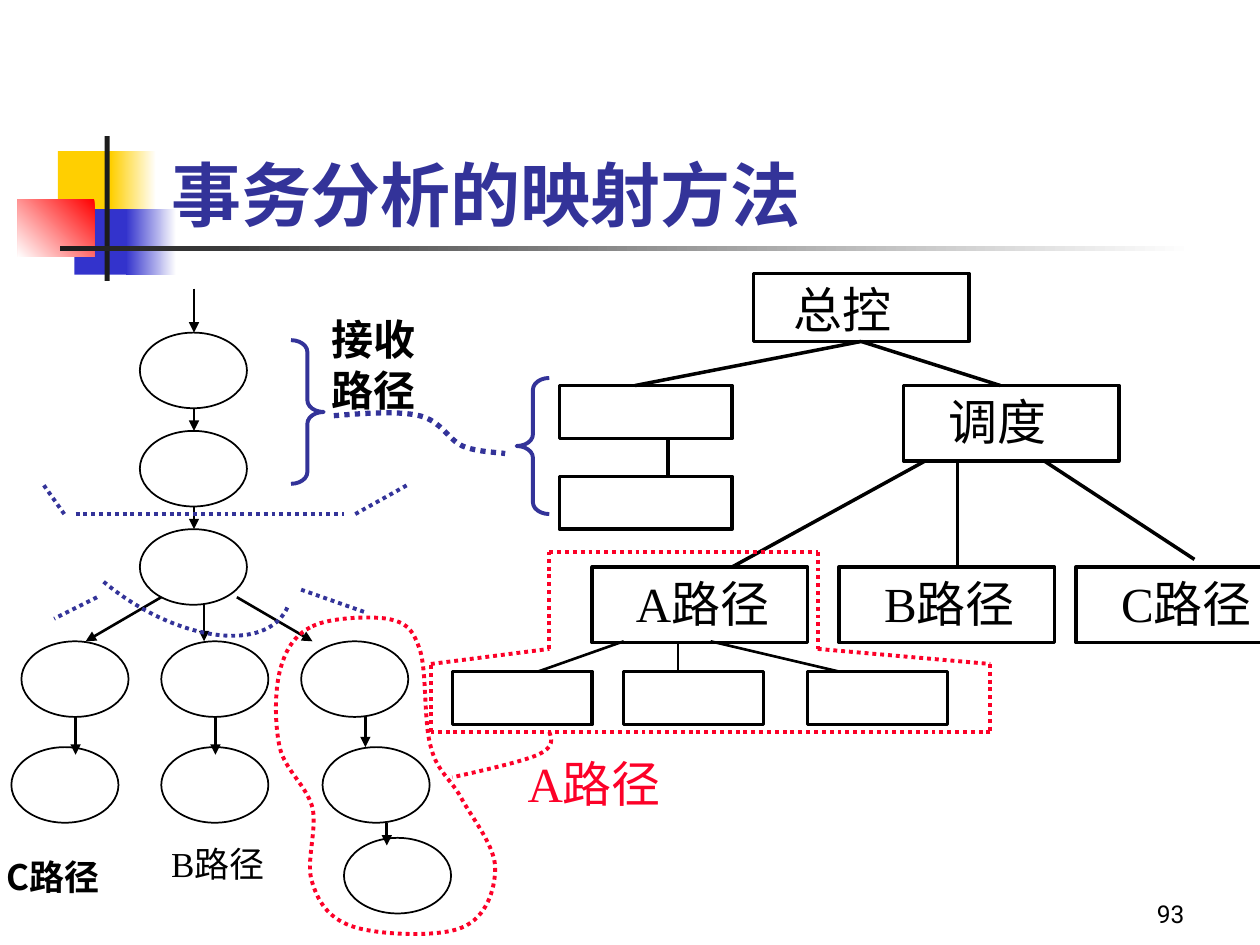
from dataclasses import dataclass

from lxml import etree
from pptx import Presentation
from pptx.dml.color import RGBColor
from pptx.enum.dml import MSO_LINE
from pptx.enum.shapes import MSO_CONNECTOR, MSO_SHAPE
from pptx.enum.text import MSO_ANCHOR, MSO_AUTO_SIZE, PP_ALIGN
from pptx.oxml.ns import qn
from pptx.util import Inches, Pt

BLACK = RGBColor(0x00, 0x00, 0x00)
WHITE = RGBColor(0xFF, 0xFF, 0xFF)
NAVY = RGBColor(0x33, 0x33, 0x99)
RED = RGBColor(0xFC, 0x01, 0x28)
GOLD = RGBColor(0xFF, 0xCF, 0x01)
BLUE = RGBColor(0x33, 0x33, 0xCC)
BRIGHT_RED = RGBColor(0xFF, 0x00, 0x00)
CHARCOAL = RGBColor(0x1C, 0x1C, 0x1C)
SERIF = "Times New Roman"
CJK = "Noto Sans CJK SC"
OVAL_SIZE = (0.85, 0.6)
BOX_SIZE = (1.71, 0.6)


@dataclass
class Region:
    """An area of the page; all positions are inches from its corner."""
    page: object
    left: float
    top: float

    def point(self, x, y):
        return Inches(self.left + x), Inches(self.top + y)

    def shape(self, kind, x, y, width, height, fill=None, line=None, weight=2, dotted=False):
        shape = self.page.shapes.add_shape(
            kind, *self.point(x, y), Inches(width), Inches(height))
        return self.finish(shape, fill, line, weight, dotted)

    def finish(self, shape, fill, line, weight, dotted=False):
        shape.shadow.inherit = False
        if fill is None:
            shape.fill.background()
        else:
            shape.fill.solid()
            shape.fill.fore_color.rgb = fill
        if line is None:
            shape.line.fill.background()
        else:
            style_line(shape.line, line, weight, dotted)
        return shape

    def gradient(self, x, y, width, height, first, last, clockwise=180):
        shape = self.shape(MSO_SHAPE.RECTANGLE, x, y, width, height)
        shape.fill.gradient()
        shape.fill.gradient_angle = 360 - clockwise
        for stop, color, position in zip(shape.fill.gradient_stops, (first, last), (0, 1)):
            stop.color.rgb = color
            stop.position = position

    def line(self, start, end, color=BLACK, weight=2, dotted=False, arrow=False):
        connector = self.page.shapes.add_connector(
            MSO_CONNECTOR.STRAIGHT, *self.point(*start), *self.point(*end))
        style_line(connector.line, color, weight, dotted)
        if arrow:
            outline = connector.line._get_or_add_ln()
            etree.SubElement(outline, qn("a:tailEnd"), type="triangle")
        etree.SubElement(connector._element.spPr, qn("a:effectLst"))
        return connector

    def curve(self, points, color, weight=2.25):
        """Dotted curve: a start, then control, control, end for each segment."""
        start, *rest = [self.point(*p) for p in points]
        builder = self.page.shapes.build_freeform(*start)
        builder.add_line_segments(rest, close=points[0] == points[-1])
        shape = self.finish(builder.convert_to_shape(), None, color, weight, dotted=True)
        # Merge each three straight steps into one cubic segment
        steps = list(shape._element.iter(qn("a:lnTo")))
        for index in range(0, len(rest), 3):
            first, *others = steps[index:index + 3]
            first.tag = qn("a:cubicBezTo")
            for other in others:
                first.append(other[0])
                other.getparent().remove(other)

    def label(self, text, x, y, width, height, size, color=BLACK, font=SERIF,
              bold=False, align=PP_ALIGN.LEFT, anchor=MSO_ANCHOR.TOP, wrap=False):
        box = self.page.shapes.add_textbox(*self.point(x, y), Inches(width), Inches(height))
        frame = box.text_frame
        frame.text = text
        frame.word_wrap = wrap
        frame.vertical_anchor = anchor
        frame.auto_size = MSO_AUTO_SIZE.NONE if wrap else MSO_AUTO_SIZE.SHAPE_TO_FIT_TEXT
        for para in frame.paragraphs:
            para.alignment = align
            for span in para.runs:
                span.font.name, span.font.size, span.font.bold = font, Pt(size), bold
                span.font.color.rgb = color
                etree.SubElement(span._r.get_or_add_rPr(), qn("a:ea"), typeface=CJK)


def style_line(line, color, weight, dotted):
    line.color.rgb = color
    line.width = Pt(weight)
    if dotted:
        line.dash_style = MSO_LINE.ROUND_DOT


def draw_header(region):
    # Coloured squares, crossing bars and the title
    square = MSO_SHAPE.RECTANGLE
    region.shape(square, 0.46, 0.2, 0.48, 0.52, GOLD)
    region.gradient(0.88, 0.2, 0.36, 0.52, WHITE, GOLD)
    region.shape(square, 0.59, 0.66, 0.46, 0.52, BLUE)
    region.gradient(1, 0.66, 0.4, 0.52, WHITE, BLUE)
    region.gradient(0.14, 0.58, 0.61, 0.46, BRIGHT_RED, WHITE, 135)
    region.shape(square, 0.83, 0.08, 0.04, 1.15, CHARCOAL)
    region.gradient(0.48, 0.95, 9, 0.04, WHITE, CHARCOAL)
    region.label("事务分析的映射方法", 1.26, -0.33, 8.52, 1.25, 40, NAVY, CJK, True,
                 anchor=MSO_ANCHOR.BOTTOM, wrap=True)


def draw_structure(region):
    # Control levels
    def module(x, y, width=BOX_SIZE[0], height=BOX_SIZE[1]):
        return region.shape(MSO_SHAPE.RECTANGLE, x, y, width, height, WHITE, BLACK)

    control = module(2.98, 0.17, height=0.54)
    region.label("总控", 3.2, 0.17, 1, 0.56, 28)
    module(4.17, 1.06)
    region.label("调度", 4.43, 1.06, 1, 0.56, 28)
    for y in (1.06, 1.78):
        module(1.44, y, 1.37, 0.42)
    for end in ((4.94, 1.06), (2.04, 1.06)):
        region.line((3.83, 0.71), end).begin_connect(control, 2)
    region.line((2.3, 1.48), (2.3, 1.78))

    # Dispatched paths
    for start, end in (((5.29, 1.66), (6.48, 2.44)), ((4.6, 1.66), (4.6, 2.5)),
                       ((4.34, 1.66), (2.81, 2.5))):
        region.line(start, end)
    for name, x in (("A", 1.7), ("B", 3.66), ("C", 5.54)):
        module(x, 2.5)
        region.label(name + "路径", x + 0.18, 2.5, 1.39, 0.56, 28, align=PP_ALIGN.CENTER)

    # Modules below path A
    for x, start, end in ((0.59, 1.95, 1.27), (1.95, 2.38, 2.38), (3.41, 2.64, 3.66)):
        module(x, 3.33, 1.11, 0.42)
        region.line((start, 3.09), (end, 3.33), weight=1.5)


def draw_flow(region):
    # Processes
    ovals = [(1.11, 0.64), (1.11, 1.42), (1.11, 2.2),
             (0.17, 3.09), (1.28, 3.09), (2.39, 3.09),
             (0.09, 3.93), (1.28, 3.93), (2.56, 3.93), (2.73, 4.65)]
    for x, y in ovals:
        region.shape(MSO_SHAPE.OVAL, x, y, *OVAL_SIZE, line=BLACK, weight=1)

    # Data flows: downward arrows, then the two slanted ones
    for x, top, bottom in ((1.54, 0.29, 0.64), (1.54, 1.24, 1.42), (1.54, 2.02, 2.2),
                           (1.62, 2.8, 3.09), (1.71, 3.69, 3.99), (0.6, 3.69, 3.99),
                           (2.9, 3.69, 3.93), (3.07, 4.53, 4.71)):
        region.line((x, top), (x, bottom), weight=1.5, arrow=True)
    for start, end in ((1.88, 2.48), (1.28, 0.68)):
        region.line((start, 2.74), (end, 3.09), weight=1.5, arrow=True)

    # Dotted boundaries around the transaction centre
    for start, end in (((0.6, 2.08), (2.73, 2.08)), ((2.82, 2.08), (3.25, 1.84)),
                       ((0.51, 2.08), (0.34, 1.84)), ((2.39, 2.68), (2.9, 2.86)),
                       ((0.77, 2.74), (0.43, 2.91))):
        region.line(start, end, NAVY, 2.25, dotted=True)
    arc = region.shape(MSO_SHAPE.ARC, 0.22, 1.66, 2.22, 1.19, None, NAVY, 2.25, dotted=True)
    arc.rotation = 33.8
    for index, degrees in enumerate((357, 113)):
        arc.adjustments[index] = degrees * 0.6

    # Path names
    region.label("B路径", 1.26, 4.64, 1.04, 0.44, 20)
    region.label("C路径", -0.05, 4.74, 1.04, 0.44, 20, font=CJK, bold=True)


def draw_receiving_path(region):
    # Braces and the dotted link between them
    for kind, x, y, height in ((MSO_SHAPE.RIGHT_BRACE, 0.31, 0.7, 1.14),
                               (MSO_SHAPE.LEFT_BRACE, 2.1, 1, 1.08)):
        brace = region.shape(kind, x, y, 0.26, height, line=NAVY, weight=2.25)
        brace.adjustments[0] = 0.36
    region.curve([(0.65, 1.3), (0.9, 1.28), (1.16, 1.26), (1.33, 1.3),
                  (1.5, 1.34), (1.56, 1.49), (1.67, 1.54),
                  (1.79, 1.59), (1.96, 1.59), (2.01, 1.6)], NAVY, 3)
    region.label("接收\n路径", 0.53, 0.44, 0.9, 0.9, 24, bold=True)


def draw_path_a(region):
    # Name on its white ground
    region.shape(MSO_SHAPE.RECTANGLE, 1.84, 1.93, *BOX_SIZE, WHITE)
    region.label("A路径", 2.02, 1.93, 1.39, 0.56, 28, RED, align=PP_ALIGN.CENTER)

    # Outline around the processes of path A
    region.curve([
        (0.48, 0.97), (0.62, 0.9), (0.93, 0.89), (1.07, 0.91),
        (1.22, 0.94), (1.27, 0.98), (1.33, 1.15),
        (1.39, 1.32), (1.36, 1.73), (1.42, 1.93),
        (1.47, 2.13), (1.59, 2.19), (1.67, 2.35),
        (1.76, 2.51), (1.93, 2.72), (1.93, 2.89),
        (1.93, 3.06), (1.86, 3.28), (1.67, 3.36),
        (1.49, 3.44), (1.02, 3.42), (0.82, 3.36),
        (0.62, 3.3), (0.53, 3.17), (0.48, 3.01),
        (0.42, 2.85), (0.52, 2.59), (0.48, 2.41),
        (0.43, 2.23), (0.26, 2.11), (0.22, 1.93),
        (0.18, 1.75), (0.18, 1.49), (0.22, 1.33),
        (0.26, 1.17), (0.33, 1.04), (0.48, 0.97)], RED)

    # Outline around its modules, and the link to it
    corners = [(2.36, 0.38), (4.49, 0.38), (4.49, 1.15), (5.86, 1.27),
               (5.86, 1.81), (1.42, 1.81), (1.42, 1.27), (2.36, 1.15)]
    for start, end in zip(corners, corners[1:] + corners[:1]):
        region.line(start, end, RED, 2.25, dotted=True)
    region.curve([(2.36, 1.81), (2.38, 1.87), (2.4, 1.93), (2.27, 1.99),
                  (2.14, 2.05), (1.72, 2.14), (1.59, 2.17)], RED)


def draw_page_number(region):
    region.label("93", 0, 0, 2.08, 0.5, 14, font="Roboto", align=PP_ALIGN.RIGHT,
                 anchor=MSO_ANCHOR.BOTTOM, wrap=True)


def main():
    deck = Presentation()
    deck.slide_width, deck.slide_height = Inches(10), Inches(7.5)
    page = deck.slides.add_slide(deck.slide_layouts[6])
    draw_header(Region(page, 0, 1))
    draw_structure(Region(page, 3, 2))
    draw_flow(Region(page, 0, 2))
    draw_receiving_path(Region(page, 2, 2))
    draw_path_a(Region(page, 2, 4))
    draw_page_number(Region(page, 7.42, 6.92))
    deck.save("out.pptx")


if __name__ == "__main__":
    main()
